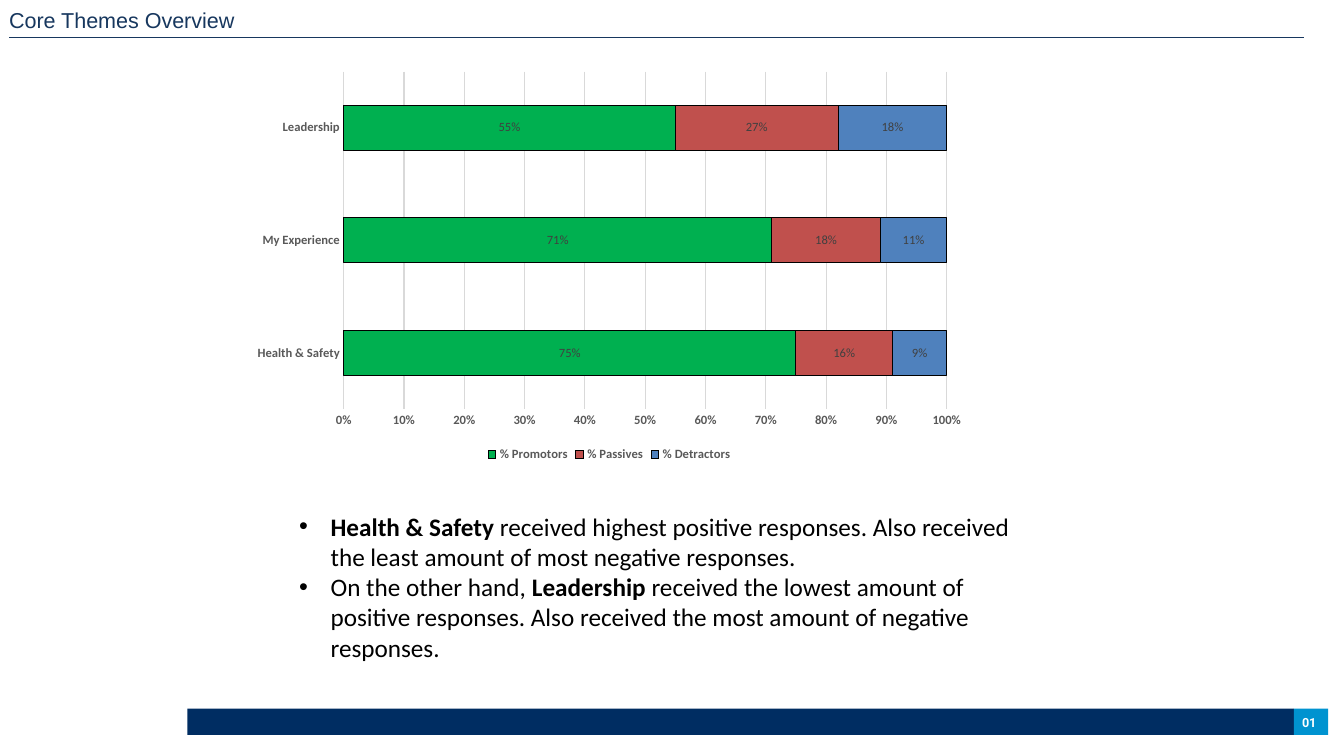
from dataclasses import dataclass

from lxml import etree
from pptx import Presentation
from pptx.chart.data import CategoryChartData
from pptx.dml.color import RGBColor
from pptx.enum.chart import XL_CHART_TYPE as ChartType
from pptx.enum.chart import XL_LABEL_POSITION as LabelPosition
from pptx.enum.chart import XL_LEGEND_POSITION as LegendPosition
from pptx.enum.chart import XL_TICK_MARK as TickMark
from pptx.enum.shapes import MSO_CONNECTOR as Connector
from pptx.enum.shapes import MSO_SHAPE as Shape
from pptx.oxml.ns import qn
from pptx.util import Pt


@dataclass(frozen=True)
class Theme:
    """Colours, fonts and type sizes of the slide."""
    title: str = "17375E"
    footer: str = "002D62"
    badge: str = "0093D0"
    white: str = "FFFFFF"
    black: str = "000000"
    grid: str = "D9D9D9"
    axis_text: str = "595959"
    label_text: str = "404040"
    promotors: str = "00B050"
    passives: str = "C0504D"
    detractors: str = "4F81BD"
    title_font: str = "Arial"
    body_font: str = "Calibri"
    badge_font: str = "Roboto"
    title_size: float = 15.4
    body_size: float = 18
    chart_size: float = 10
    small_size: float = 9
    hairline: float = 0.75


def set_font(font, name, size, color, bold=False):
    """Apply a typeface, size, colour and weight to a font."""
    font.name, font.size, font.bold = name, Pt(size), bold
    font.color.rgb = RGBColor.from_string(color)


def set_line(line, color, width):
    """Give a line a solid colour and a width."""
    line.color.rgb = RGBColor.from_string(color)
    line.width = Pt(width)


def write_text(frame, paragraphs, *, font, size, color, space_before=0,
               bullet=None, indent=0, spacing=None):
    """Fill a frame with paragraphs, each a list of (text, bold) spans."""
    for index, spans in enumerate(paragraphs):
        para = frame.paragraphs[0] if index == 0 else frame.add_paragraph()
        para.space_before = Pt(space_before)
        if bullet:
            properties = para._p.get_or_add_pPr()
            properties.set("marL", str(Pt(indent)))
            properties.set("indent", str(-Pt(indent)))
            etree.SubElement(properties, qn("a:buFont"), typeface="Arial")
            etree.SubElement(properties, qn("a:buChar"), char=bullet)
        for text, bold in spans:
            span = para.add_run()
            span.text = text
            set_font(span.font, font, size, color, bold)
            if spacing is not None:
                span._r.get_or_add_rPr().set("spc", str(round(spacing * 100)))


class SlideBuilder:
    """Holds the theme and the current slide; lengths are in points."""

    def __init__(self, page, theme):
        """Keep the slide and its theme."""
        self.page, self.theme = page, theme

    def block(self, left, top, width, height, color):
        """Add a plain filled rectangle."""
        shape = self.page.shapes.add_shape(
            Shape.RECTANGLE, Pt(left), Pt(top), Pt(width), Pt(height))
        shape.shadow.inherit = False
        shape.fill.solid()
        shape.fill.fore_color.rgb = RGBColor.from_string(color)
        shape.line.fill.background()

    def text(self, left, top, width, height, paragraphs, *,
             insets=(0, 1, 0, 0), wrap=True, **style):
        """Add a text box."""
        box = self.page.shapes.add_textbox(
            Pt(left), Pt(top), Pt(width), Pt(height))
        frame = box.text_frame
        frame.word_wrap = wrap
        (frame.margin_left, frame.margin_top,
         frame.margin_right, frame.margin_bottom) = map(Pt, insets)
        write_text(frame, paragraphs, **style)

    def rule(self, left, right, top, color):
        """Add a thin horizontal line."""
        line = self.page.shapes.add_connector(
            Connector.STRAIGHT, Pt(left), Pt(top), Pt(right), Pt(top))
        set_line(line.line, color, self.theme.hairline)
        etree.SubElement(line._element.spPr, qn("a:effectLst"))

    def stacked_bars(self, left, top, width, height, categories, series):
        """Add a 100% stacked bar chart from (name, values, colour) series."""
        theme = self.theme
        data = CategoryChartData(number_format="0%")
        data.categories = categories
        for name, values, _ in series:
            data.add_series(name, values)
        chart = self.page.shapes.add_chart(
            ChartType.BAR_STACKED_100, Pt(left), Pt(top), Pt(width),
            Pt(height), data).chart
        set_font(chart.font, theme.body_font, theme.chart_size, theme.black)
        chart.has_title = False
        chart.has_legend = True
        chart.legend.position = LegendPosition.BOTTOM
        chart.legend.include_in_layout = False
        for part in (chart.category_axis.tick_labels,
                     chart.value_axis.tick_labels, chart.legend):
            set_font(part.font, theme.body_font, theme.small_size,
                     theme.axis_text, bold=True)
        for axis in (chart.category_axis, chart.value_axis):
            axis.major_tick_mark = axis.minor_tick_mark = TickMark.NONE
        set_line(chart.category_axis.format.line, theme.grid, theme.hairline)
        scale = chart.value_axis
        scale.minimum_scale, scale.maximum_scale, scale.major_unit = 0, 1, 0.1
        scale.tick_labels.number_format = "0%"
        scale.tick_labels.number_format_is_linked = False
        scale.format.line.fill.background()
        set_line(scale.major_gridlines.format.line, theme.grid, theme.hairline)
        plot = chart.plots[0]
        plot.gap_width, plot.overlap = 150, 100
        plot.vary_by_categories = False
        for bars, (_, _, color) in zip(plot.series, series):
            bars.format.fill.solid()
            bars.format.fill.fore_color.rgb = RGBColor.from_string(color)
            set_line(bars.format.line, theme.black, theme.hairline)
            labels = bars.data_labels
            labels.show_value = True
            labels.position = LabelPosition.CENTER
            labels.number_format = "0%"
            labels.number_format_is_linked = False
            set_font(labels.font, theme.body_font, theme.small_size,
                     theme.label_text)


def main():
    """Build the slide and save the deck."""
    theme = Theme()
    deck = Presentation()
    deck.slide_width, deck.slide_height = Pt(960), Pt(540)
    slide = SlideBuilder(deck.slides.add_slide(deck.slide_layouts[6]), theme)

    footer_top, footer_height, badge_left = 506.2, 18.7, 924.2
    slide.block(133.9, footer_top, badge_left - 133.9, footer_height,
                theme.footer)
    slide.block(badge_left, footer_top, 24.4, footer_height, theme.badge)
    slide.text(930.2, 509.8, 11.5, 11.5, [[("01", True)]], wrap=False,
               font=theme.badge_font, size=theme.small_size,
               color=theme.white, space_before=0.6, spacing=-0.2)

    slide.text(6.5, 4.3, 304.6, 19.4, [[("Core Themes Overview", False)]],
               font=theme.title_font, size=theme.title_size,
               color=theme.title, space_before=0.6)
    slide.rule(6.5, 931.2, 26.9, theme.title)

    slide.stacked_bars(
        173.5, 45.4, 523.4, 287.3,
        ["Health & Safety", "My Experience", "Leadership"],
        [("% Promotors", (0.75, 0.71, 0.55), theme.promotors),
         ("% Passives", (0.16, 0.18, 0.27), theme.passives),
         ("% Detractors", (0.09, 0.11, 0.18), theme.detractors)])

    findings = [
        [("Health & Safety ", True),
         ("received highest positive responses. Also received the least "
          "amount of most negative responses.", False)],
        [("On the other hand, ", False), ("Leadership", True),
         (" received the lowest amount of positive responses. Also received "
          "the most amount of negative responses.", False)]]
    slide.text(206.6, 361.4, 523.4, 116.6, findings,
               insets=(7.2, 3.6, 7.2, 3.6), font=theme.body_font,
               size=theme.body_size, color=theme.black, bullet="•",
               indent=22.5)
    deck.save("out.pptx")


main()
